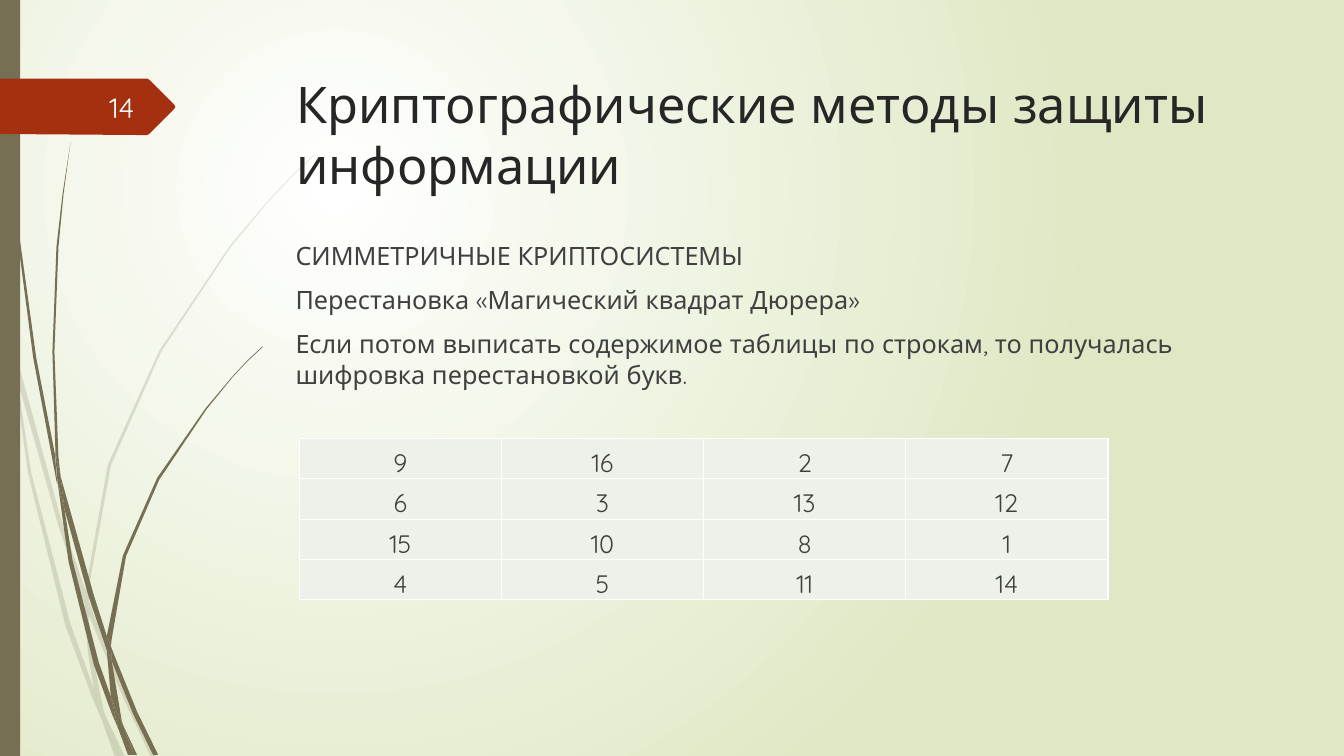
from lxml.etree import SubElement as Sub
from pptx import Presentation
from pptx.dml.color import RGBColor
from pptx.enum.shapes import MSO_SHAPE as Shape
from pptx.enum.text import MSO_ANCHOR as Anchor, PP_ALIGN as Align
from pptx.oxml.ns import qn
from pptx.util import Pt

# Content
TITLE = "Криптографические методы защиты информации"
BODY = [
    "СИММЕТРИЧНЫЕ КРИПТОСИСТЕМЫ",
    "Перестановка «Магический квадрат Дюрера»",
    "Если потом выписать содержимое таблицы по строкам, "
    "то получалась шифровка перестановкой букв.",
]
SQUARE = [(9, 16, 2, 7), (6, 3, 13, 12), (15, 10, 8, 1), (4, 5, 11, 14)]
PAGE = "14"
FONT, OLIVE, RUST = "Quicksand", "766F54", "A53010"

# Grass outlines and page marker, on a grid of 0.72 pt
GRID = Pt(0.72)
PALE = [
    [(11, 350), (9, 322), (0, 282), (0, 299), (10, 344)],
    [(58, 522), (84, 599), (85, 586), (62, 520), (14, 345), (17, 376)],
    [(92, 607), (88, 596), (88, 610), (123, 694), (150, 751), (155, 751),
     (127, 692)],
    [(119, 751), (124, 751), (105, 711)],
    [(93, 683), (70, 619), (31, 469), (17, 376), (11, 350), (28, 470),
     (65, 621), (92, 693), (101, 714), (99, 707)],
    [(84, 599), (87, 646), (93, 683), (96, 692), (105, 711), (103, 706),
     (91, 646), (88, 610), (88, 608)],
    [(88, 584), (110, 462), (160, 349), (229, 245), (268, 198), (290, 175),
     (312, 154), (312, 153), (289, 175), (268, 197), (228, 244), (158, 348),
     (107, 461), (85, 584), (85, 586), (88, 596)],
    [(101, 714), (114, 751), (119, 751)],
    [(88, 608), (88, 610), (88, 596), (85, 586), (84, 599)],
    [(96, 692), (93, 683), (99, 707), (101, 714), (119, 751), (105, 711)],
]
DARK = [
    [(7, 110), (17, 233), (33, 355), (56, 477), (57, 481), (55, 457),
     (55, 453), (36, 355), (19, 232), (8, 109), (5, 48), (4, 0), (3, 0),
     (4, 48)],
    [(88, 592), (106, 645), (106, 633), (106, 631), (93, 590), (60, 472),
     (64, 505)],
    [(113, 649), (110, 641), (111, 656), (132, 708), (152, 749), (157, 749),
     (136, 706)],
    [(110, 691), (98, 657), (72, 556), (64, 505), (57, 477), (68, 557),
     (93, 659), (111, 708), (117, 722), (116, 717)],
    [(60, 472), (58, 453), (54, 349), (58, 245), (63, 193), (70, 141),
     (62, 193), (56, 245), (52, 349), (55, 449)],
    [(133, 749), (136, 749), (122, 719)],
    [(57, 477), (64, 505), (60, 472), (55, 449), (55, 453)],
    [(111, 633), (125, 552), (158, 476), (205, 406), (231, 374), (245, 359),
     (261, 344), (260, 344), (245, 358), (231, 373), (204, 405), (156, 474),
     (122, 551), (106, 631), (110, 641)],
    [(117, 722), (127, 749), (131, 749)],
    [(106, 645), (110, 691), (116, 706), (122, 719), (121, 716), (111, 656),
     (109, 651)],
    [(106, 645), (109, 651), (111, 656), (110, 641), (106, 631), (106, 633)],
    [(116, 706), (110, 691), (116, 717), (117, 722), (130, 749), (133, 749),
     (122, 719)],
]
ARROW = [(0, 78), (146, 78), (148, 79), (173, 104), (174, 106), (173, 108),
         (148, 133), (146, 134), (136, 134), (0, 133)]


def tint(code):
    return RGBColor.from_string(code)


def paint(item, code, alpha=None):
    item.shadow.inherit = False
    item.fill.solid()
    item.fill.fore_color.rgb = tint(code)
    item.line.fill.background()
    if alpha:
        rgb = item.element.spPr.find(".//" + qn("a:srgbClr"))
        Sub(rgb, qn("a:alpha"), val=str(alpha * 1000))


def trace(dots, code, alpha=None):
    pen = slide.shapes.build_freeform(*dots[0], scale=GRID)
    pen.add_line_segments(dots[1:], close=True)
    paint(pen.convert_to_shape(), code, alpha)


def write(frame, lines, size=18, color="404040", align=Align.LEFT, gap=0):
    for i, line in enumerate(lines):
        para = frame.add_paragraph() if i else frame.paragraphs[0]
        para.alignment = align
        para.space_before = Pt(gap)
        run = para.add_run()
        run.text = line
        run.font.size = Pt(size)
        run.font.name = FONT
        run.font.color.rgb = tint(color)


def label(box, lines, anchor=Anchor.TOP, **form):
    frame = slide.shapes.add_textbox(*map(Pt, box)).text_frame
    frame.word_wrap = True
    frame.vertical_anchor = anchor
    write(frame, lines, **form)


def edge(cell):
    # White borders go before the fill in the cell properties
    props = cell._tc.get_or_add_tcPr()
    for i, side in enumerate(("lnL", "lnR", "lnT", "lnB")):
        line = Sub(props, qn("a:" + side), w=str(Pt(1)))
        Sub(Sub(line, qn("a:solidFill")), qn("a:srgbClr"), val="FFFFFF")
        props.insert(i, line)


deck = Presentation()
deck.slide_width, deck.slide_height = Pt(960), Pt(540)
slide = deck.slides.add_slide(deck.slide_layouts[6])

# Background glow
back = slide.background.fill
back.gradient()
for stop, code in zip(back.gradient_stops, ("FFFFFF", "DFE8C4")):
    stop.color.rgb = tint(code)
grad = slide.element.find(".//" + qn("a:gradFill"))
grad.remove(grad.find(qn("a:lin")))
Sub(Sub(grad, qn("a:path"), path="circle"), qn("a:fillToRect"),
    l="50000", t="50000", r="100000", b="100000")

# Grass, side band and page marker
for blade in PALE:
    trace(blade, OLIVE, 20)
for blade in DARK:
    trace(blade, OLIVE)
band = slide.shapes.add_shape(Shape.RECTANGLE, 0, 0, Pt(14.4), Pt(540))
paint(band, OLIVE)
trace(ARROW, RUST)

# Text
label((204.5, 49, 702, 101), [TITLE], size=36, color="262626")
label((204, 168, 702, 297), BODY, gap=10)
label((42, 62, 61, 29), [PAGE], anchor=Anchor.MIDDLE, size=20,
      color="FEFFFF", align=Align.RIGHT)

# Magic square
WIDE, HIGH = 144.4, 28.8
grid = slide.shapes.add_table(4, 4, Pt(213.8), Pt(313.2),
                              Pt(4 * WIDE), Pt(4 * HIGH)).table
for i, row in enumerate(SQUARE):
    grid.rows[i].height = Pt(HIGH)
    grid.columns[i].width = Pt(WIDE)
    for j, num in enumerate(row):
        cell = grid.cell(i, j)
        cell.fill.solid()
        cell.fill.fore_color.rgb = tint("EEF1E9")
        cell.margin_left = cell.margin_right = cell.margin_top = Pt(0.72)
        cell.margin_bottom = 0
        cell.vertical_anchor = Anchor.BOTTOM
        edge(cell)
        write(cell.text_frame, [str(num)], align=Align.CENTER)

deck.save("out.pptx")
